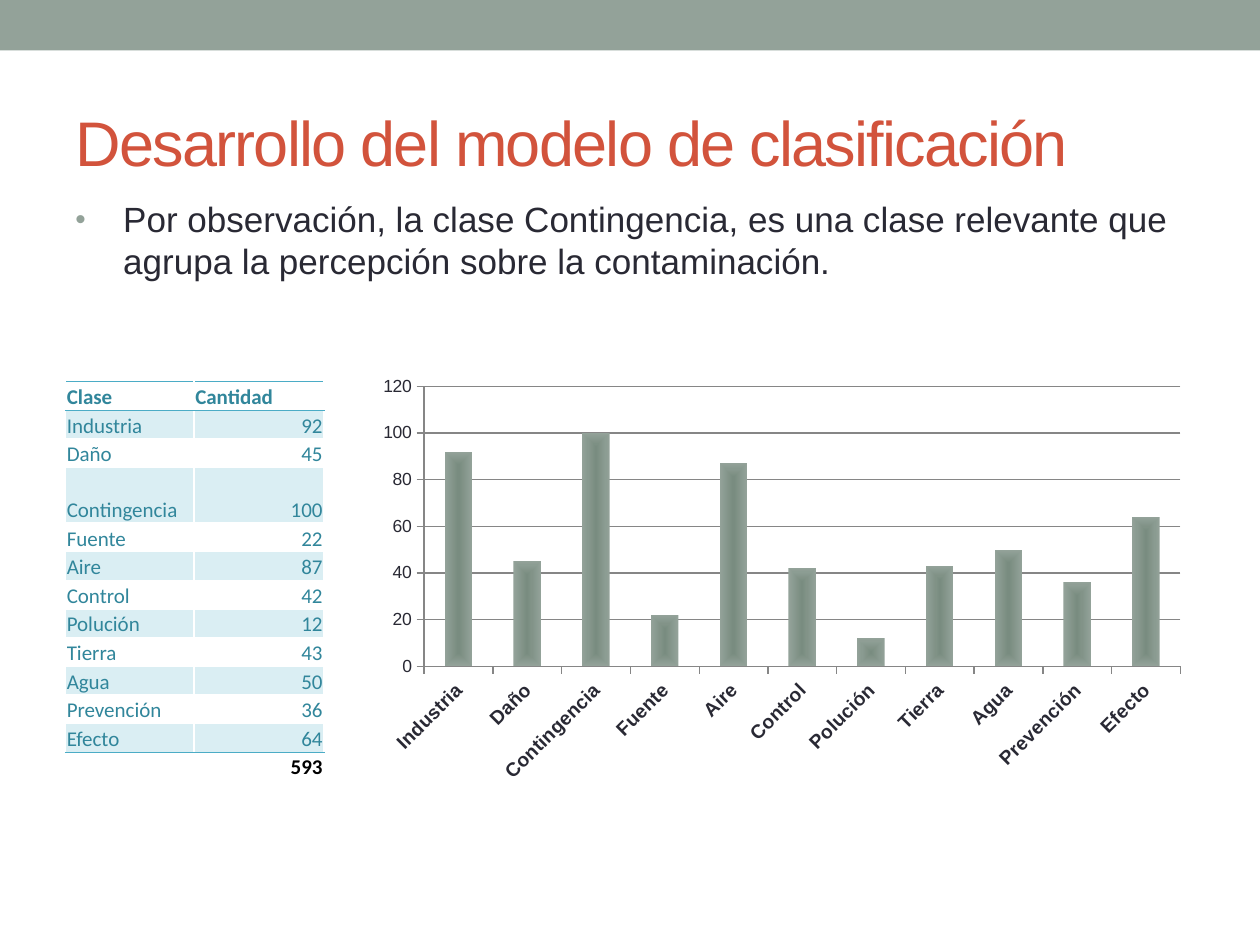
from lxml import etree
from pptx import Presentation, util as u
from pptx.chart.data import CategoryChartData
from pptx.dml.color import RGBColor
from pptx.enum import chart as ch, shapes, text
from pptx.oxml import parse_xml
from pptx.oxml.ns import nsdecls, qn

SAGE = RGBColor(0x93, 0xA2, 0x99)
DARK_SAGE = RGBColor(0x79, 0x8C, 0x80)
RED = RGBColor(0xD2, 0x53, 0x3C)
INK = RGBColor(0x29, 0x29, 0x34)
TEAL = RGBColor(0x31, 0x86, 0x9B)
AQUA = RGBColor(0x4B, 0xAC, 0xC6)
PALE = RGBColor(0xDA, 0xEE, 0xF3)
GRAY = RGBColor(0x86, 0x86, 0x86)
BLACK = RGBColor(0, 0, 0)

COUNTS = {"Industria": 92, "Daño": 45, "Contingencia": 100, "Fuente": 22,
          "Aire": 87, "Control": 42, "Polución": 12, "Tierra": 43,
          "Agua": 50, "Prevención": 36, "Efecto": 64}


def style(font, color, **values):
    font.color.rgb = color
    for name, value in values.items():
        setattr(font, name, value)


def box(x, y, w, h):
    return [u.Inches(v) for v in (x, y, w, h)]


def add_band(s, area):
    sp = s.shapes.add_shape(shapes.MSO_SHAPE.RECTANGLE, *area)
    sp.shadow.inherit = False
    sp.fill.solid()
    sp.fill.fore_color.rgb = SAGE
    sp.line.fill.background()


def add_text(s, area, words, color, size, anchor):
    tf = s.shapes.add_textbox(*area).text_frame
    tf.word_wrap = True
    tf.vertical_anchor = anchor
    p = tf.paragraphs[0]
    r = p.add_run()
    r.text = words
    style(r.font, color, name="Arial", size=u.Pt(size))
    return p


def add_title(s, area):
    p = add_text(s, area, "Desarrollo del modelo de clasificación",
                 RED, 36, text.MSO_ANCHOR.MIDDLE)
    p.runs[0].font._element.set("spc", "-100")


def add_body(s, area):
    p = add_text(s, area, "Por observación, la clase Contingencia, es una clase "
                 "relevante que agrupa la percepción sobre la contaminación.",
                 INK, 20, text.MSO_ANCHOR.TOP)
    p.space_before = u.Pt(4)
    pPr = p._p.get_or_add_pPr()
    indent = u.Inches(0.38)
    pPr.set("marL", str(indent))
    pPr.set("indent", str(-indent))
    clr = etree.SubElement(pPr, qn("a:buClr"))
    etree.SubElement(clr, qn("a:srgbClr"), val=str(SAGE))
    etree.SubElement(pPr, qn("a:buSzPct"), val="85000")
    etree.SubElement(pPr, qn("a:buFont"), typeface="Arial")
    etree.SubElement(pPr, qn("a:buChar"), char="•")


def set_borders(cell, sides):
    """Draw thin lines on the given sides ("T", "B"), before the cell's fill."""
    tcPr = cell._tc.get_or_add_tcPr()
    for i, side in enumerate(sides):
        tcPr.insert(i, parse_xml(
            f'<a:ln{side} {nsdecls("a")} w="6350"><a:solidFill>'
            f'<a:srgbClr val="{AQUA}"/></a:solidFill></a:ln{side}>'))


def fill_cell(cell, words, color, bold, right, shaded):
    margins = dict(margin_left=0.01, margin_right=0.01, margin_top=0.01, margin_bottom=0)
    for name, value in margins.items():
        setattr(cell, name, u.Inches(value))
    cell.vertical_anchor = text.MSO_ANCHOR.BOTTOM
    if shaded:
        cell.fill.solid()
        cell.fill.fore_color.rgb = PALE
    else:
        cell.fill.background()
    p = cell.text_frame.paragraphs[0]
    p.alignment = text.PP_ALIGN.RIGHT if right else text.PP_ALIGN.LEFT
    if words:
        r = p.add_run()
        r.text = words
        style(r.font, color, name="Calibri", size=u.Pt(12), bold=bold)
    else:
        etree.SubElement(p._p, qn("a:endParaRPr"), sz="1200")


def add_count_table(s, area):
    rows = [("Clase", "Cantidad"), *COUNTS.items(), ("", sum(COUNTS.values()))]
    last = len(rows) - 1
    tall = u.Inches(0.44)
    table = s.shapes.add_table(len(rows), 2, *area).table
    table.first_row = table.horz_banding = False
    for col, width in zip(table.columns, (1.02, 1.03)):
        col.width = u.Inches(width)
    for i, row in enumerate(rows):
        is_tall = row[0] == "Contingencia"
        table.rows[i].height = tall if is_tall else (area[3] - tall) // last
        sides = {0: "TB", 1: "T", last - 1: "B", last: "T"}.get(i, "")
        for j, value in enumerate(row):
            cell = table.cell(i, j)
            fill_cell(cell, str(value), BLACK if i == last else TEAL,
                      bold=i in (0, last), right=i > 0 and j == 1,
                      shaded=i % 2 == 1 and i < last)
            set_borders(cell, sides)


def shade_bars(series):
    """Fill the bars with a gradient that is darkest in the middle."""
    series.format.fill.solid()
    spPr = series.format.fill._xPr
    spPr.replace(spPr.find(qn("a:solidFill")), parse_xml(
        f'<a:gradFill {nsdecls("a")} rotWithShape="1"><a:gsLst>'
        f'<a:gs pos="0"><a:srgbClr val="{DARK_SAGE}"/></a:gs>'
        f'<a:gs pos="100000"><a:srgbClr val="{SAGE}"/></a:gs></a:gsLst>'
        '<a:path path="rect"><a:fillToRect l="50000" t="50000" r="50000" b="50000"/>'
        '</a:path></a:gradFill>'))


def add_count_chart(s, area):
    data = CategoryChartData()
    data.categories = list(COUNTS)
    data.add_series("Series 1", list(COUNTS.values()))
    chart = s.shapes.add_chart(ch.XL_CHART_TYPE.COLUMN_CLUSTERED, *area, data).chart
    chart.has_legend = chart.has_title = False
    style(chart.font, INK, name="Arial", size=u.Pt(10))
    plot = chart.plots[0]
    plot.gap_width = 150
    plot.vary_by_categories = False
    shade_bars(plot.series[0])
    cats, vals = chart.category_axis, chart.value_axis
    vals.minimum_scale, vals.maximum_scale, vals.major_unit = 0, 120, 20
    vals.has_major_gridlines = True
    for axis in (cats, vals):
        axis.major_tick_mark = ch.XL_TICK_MARK.OUTSIDE
    for part in (cats, vals, vals.major_gridlines):
        part.format.line.color.rgb = GRAY
        part.format.line.width = u.Pt(0.75)
    style(cats.tick_labels.font, INK, name="Arial", size=u.Pt(11), bold=True)
    cats._element.find(qn("c:txPr")).find(qn("a:bodyPr")).set("rot", "-2700000")


def main():
    prs = Presentation()
    prs.slide_width, prs.slide_height = u.Inches(10), u.Inches(7.5)
    s = prs.slides.add_slide(prs.slide_layouts[6])
    add_band(s, box(0, 0, 10, 0.4))
    add_title(s, box(0.5, 0.58, 9, 1.08))
    add_body(s, box(0.5, 1.52, 9, 5.33))
    add_count_table(s, box(0.52, 3.03, 2.05, 3.17))
    add_count_chart(s, box(2.91, 2.92, 6.59, 3.36))
    prs.save("out.pptx")


if __name__ == "__main__":
    main()
